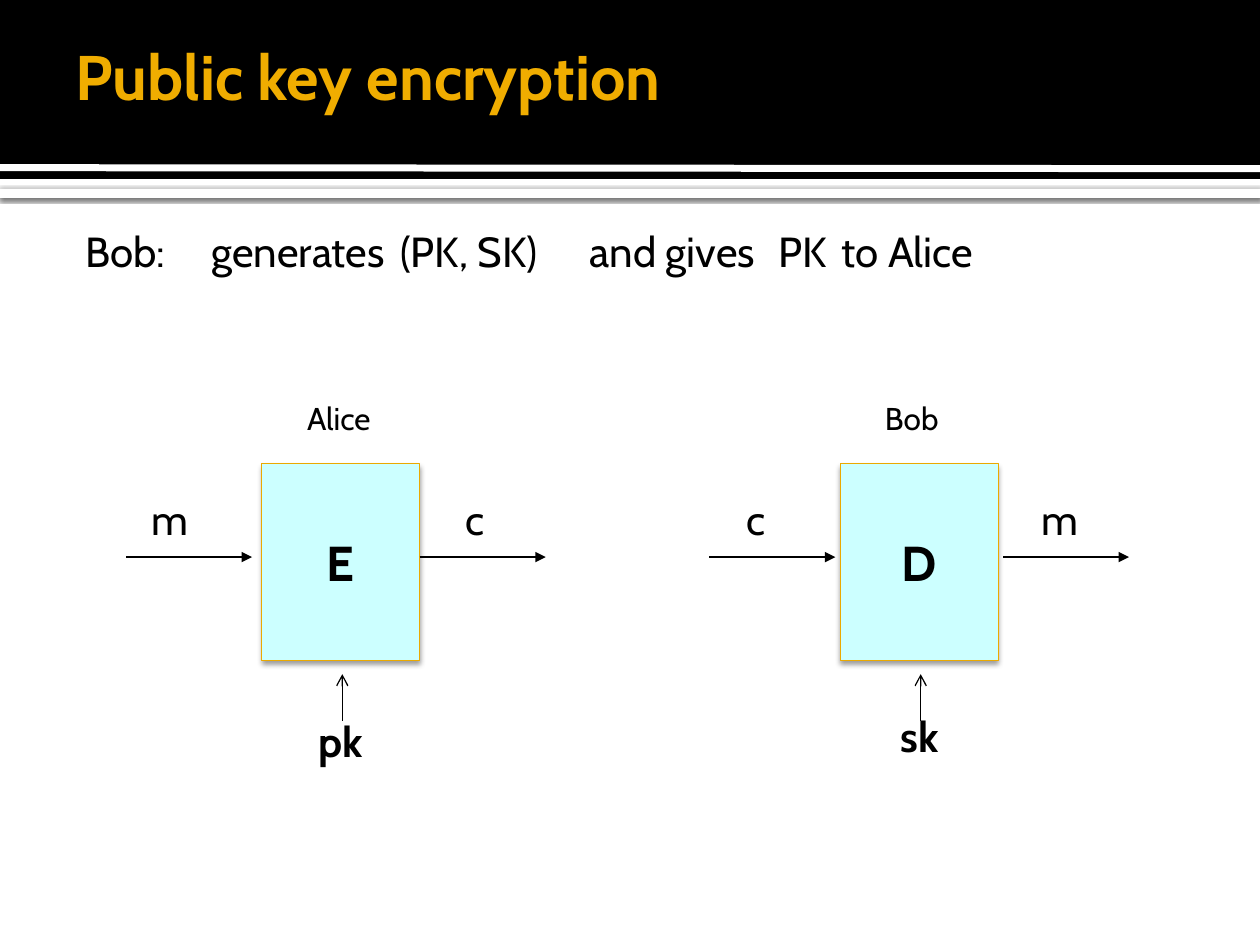
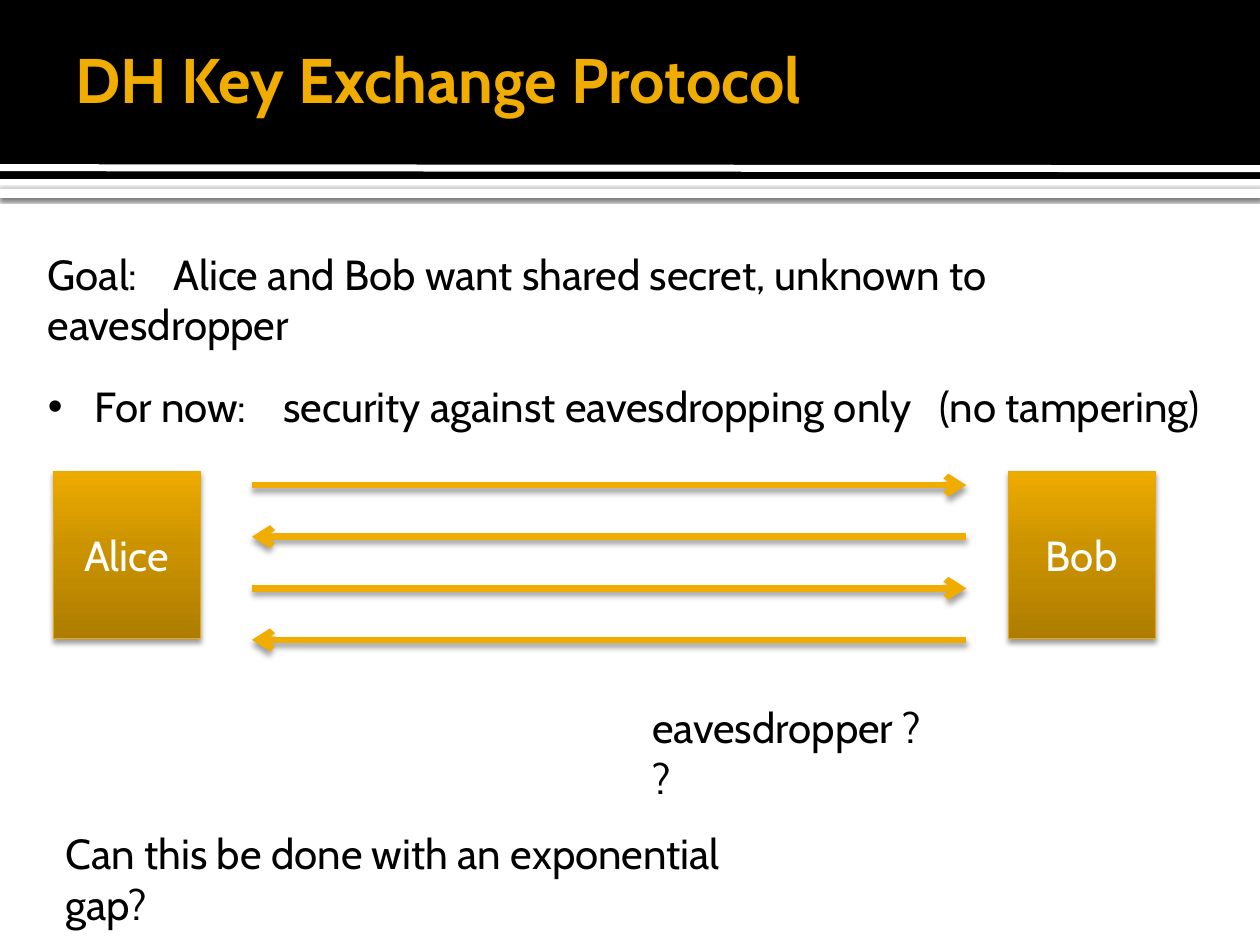
"""Build two slides on public key encryption and Diffie-Hellman key exchange."""
from copy import deepcopy

from lxml import etree
from pptx import Presentation
from pptx.dml.color import RGBColor
from pptx.enum.shapes import MSO_CONNECTOR, MSO_SHAPE
from pptx.enum.text import MSO_ANCHOR, MSO_AUTO_SIZE, PP_ALIGN
from pptx.oxml.ns import qn
from pptx.util import Cm, Pt

RECT, STRAIGHT = MSO_SHAPE.RECTANGLE, MSO_CONNECTOR.STRAIGHT
LEFT, CENTER = PP_ALIGN.LEFT, PP_ALIGN.CENTER
TOP, MIDDLE = MSO_ANCHOR.TOP, MSO_ANCHOR.MIDDLE
NO_FIT = MSO_AUTO_SIZE.NONE

FONT = "Cabin"
BLACK = RGBColor(0, 0, 0)
WHITE = RGBColor(255, 255, 255)
GOLD = RGBColor(0xF0, 0xAD, 0x00)
EDGE = RGBColor(0xEB, 0xA9, 0x00)
CYAN = RGBColor(0xCC, 0xFF, 0xFF)
GOLD_STOPS = [
    (0, RGBColor(0xAE, 0x7D, 0x00)),
    (0.55, RGBColor(0xCC, 0x93, 0x00)),
    (1, RGBColor(0xEE, 0xAB, 0x00)),
]
BAND_SHADOW = (60, 2.5, 0.8)
BOX_SHADOW = (38, 3.1, 2)
ARROW_SHADOW = (38, 3.5, 2)

ENCRYPTION = {
    "title": "Public key encryption",
    "title_at": (1.27, -0.08, 22.86, 3.18),
    "body_at": (1.47, 4.42, 22.86, 1.27),
    "body": [
        {
            "text": "Bob:\tgenerates\t(PK, SK)\tand gives\tPK\tto Alice",
            "tabs": (2.36, 6.61, 10.14, 13.87, 15.22),
        },
    ],
}
MACHINES = [
    {
        "letter": "E", "left": 5.28, "arrows": (2.54, 8.46),
        "labels": [
            ("Alice", 6.83, 7.92, 18, False), ("m", 3.43, 9.83, 24, False),
            ("c", 9.58, 9.83, 24, False), ("pk", 6.86, 14.3, 24, True),
        ],
    },
    {
        "letter": "D", "left": 16.94, "arrows": (14.3, 20.22),
        "labels": [
            ("Bob", 18.38, 7.92, 18, False), ("c", 15.24, 9.83, 24, False),
            ("m", 21.36, 9.83, 24, False), ("sk", 18.54, 14.2, 24, True),
        ],
    },
]
MACHINE_SIZE = (3.18, 3.96)

EXCHANGE = {
    "title": "DH Key Exchange Protocol",
    "title_at": (1.27, 0.2, 20.96, 2.74),
    "body_at": (0.71, 4.88, 24.28, 2.95),
    "body": [
        {
            "text": "Goal:\tAlice and Bob want shared secret, unknown to eavesdropper",
            "tabs": (2.56,),
        },
        {
            "text": "For now:\tsecurity against eavesdropping only\t(no tampering)",
            "tabs": (3.78, 4.75, 17.02, 17.98),
            "bullet": True,
        },
    ],
}
PARTIES = [("Bob", 20.32), ("Alice", 1.07)]
MESSAGE_COUNT, MESSAGE_TOP, MESSAGE_STEP = 4, 9.78, 1.04
MESSAGE_ENDS = (5.08, 19.48)
QUESTIONS = [
    ("eavesdropper ??", (12.9, 14.02, 6.25, 1.27)),
    ("Can this be done with an exponential gap?", (1.07, 16.56, 15.34, 1.27)),
]


def lengths(values):
    return [Cm(v) for v in values]


def style(p, size, color=BLACK, bold=False, align=LEFT):
    p.alignment = align
    for r in p.runs:
        r.font.name = FONT
        r.font.size = Pt(size)
        r.font.bold = bold
        r.font.color.rgb = color


def set_shadow(sp, shadow=None):
    effects = etree.SubElement(sp._element.spPr, qn("a:effectLst"))
    if shadow:
        alpha, blur, dist = shadow
        outer = etree.SubElement(
            effects, qn("a:outerShdw"), blurRad=str(Pt(blur)), dist=str(Pt(dist)),
            dir="5400000", algn="ctr", rotWithShape="0")
        color = etree.SubElement(outer, qn("a:srgbClr"), val=str(BLACK))
        etree.SubElement(color, qn("a:alpha"), val=str(alpha * 1000))


def add_rect(s, at, fill, edge=None, shadow=None):
    sp = s.shapes.add_shape(RECT, *lengths(at))
    if isinstance(fill, list):
        sp.fill.gradient()
        stops = sp._element.spPr.find(".//" + qn("a:gsLst"))
        stops.append(deepcopy(stops[-1]))
        for stop, (position, color) in zip(sp.fill.gradient_stops, fill):
            stop.position = position
            stop.color.rgb = color
        sp.fill.gradient_angle = 90
    else:
        sp.fill.solid()
        sp.fill.fore_color.rgb = fill
    if edge:
        sp.line.color.rgb = edge
        sp.line.width = Pt(0.5)
    else:
        sp.line.fill.background()
    set_shadow(sp, shadow)
    return sp


def add_box(s, at, text, fill, size, color, bold=False):
    sp = add_rect(s, at, fill, EDGE, BOX_SHADOW)
    sp.text_frame.text = text
    sp.text_frame.vertical_anchor = MIDDLE
    style(sp.text_frame.paragraphs[0], size, color, bold, CENTER)


def add_line(s, ends, color=BLACK, width=0.75, head=None, shadow=None):
    c = s.shapes.add_connector(STRAIGHT, *lengths(ends))
    c.line.color.rgb = color
    c.line.width = Pt(width)
    if head:
        etree.SubElement(c.line._get_or_add_ln(), qn("a:tailEnd"), type=head)
    set_shadow(c, shadow)
    return c


def add_text(s, at, text, size, bold=False, align=LEFT, wrap=True):
    tf = s.shapes.add_textbox(*lengths(at)).text_frame
    tf.text = text
    tf.word_wrap = wrap
    style(tf.paragraphs[0], size, bold=bold, align=align)


def place(sp, at):
    sp.left, sp.top, sp.width, sp.height = lengths(at)
    sp.text_frame.auto_size = NO_FIT
    sp.text_frame.word_wrap = True
    return sp.text_frame


def add_bands(s):
    bands = [
        add_rect(s, (0, 3.81, 25.4, 0.18), WHITE, shadow=BAND_SHADOW),
        add_rect(s, (0, 0, 25.4, 3.61), BLACK),
        add_line(s, (0, 3.38, 25.4, 3.4), WHITE, 4),
    ]
    for i, band in enumerate(bands):
        s.shapes.element.insert(2 + i, band._element)


def format_list_item(p, item):
    bullet = item.get("bullet", False)
    pPr = p._p.get_or_add_pPr()
    indent = Cm(0.95) if bullet else 0
    pPr.set("marL", str(indent))
    pPr.set("indent", str(-indent))
    if bullet:
        etree.SubElement(pPr, qn("a:buFont"), typeface="Arial")
        etree.SubElement(pPr, qn("a:buChar"), char="•")
    else:
        etree.SubElement(pPr, qn("a:buNone"))
    tabs = etree.SubElement(pPr, qn("a:tabLst"))
    for stop in item["tabs"]:
        etree.SubElement(tabs, qn("a:tab"), pos=str(Cm(stop)), algn="l")
    p.space_before = Pt(18 if bullet else 0)
    style(p, 24)


def add_slide(prs, content):
    s = prs.slides.add_slide(prs.slide_layouts[1])
    add_bands(s)
    tf = place(s.shapes.title, content["title_at"])
    tf.text = content["title"]
    tf.vertical_anchor = MIDDLE
    tf.margin_right = Cm(0.13)
    style(tf.paragraphs[0], 36, GOLD, True)

    tf = place(s.placeholders[1], content["body_at"])
    tf.vertical_anchor = TOP
    for i, item in enumerate(content["body"]):
        p = tf.add_paragraph() if i else tf.paragraphs[0]
        p.text = item["text"]
        format_list_item(p, item)
    return s


def build_encryption(prs):
    s = add_slide(prs, ENCRYPTION)
    width, height = MACHINE_SIZE
    for machine in MACHINES:
        left = machine["left"]
        add_box(s, (left, 9.35, width, height), machine["letter"], CYAN, 28, BLACK, True)
        for x in machine["arrows"]:
            add_line(s, (x, 11.23, x + 2.54, 11.23), head="triangle")
        middle = left + width / 2 + 0.03
        add_line(s, (middle, 14.53, middle, 13.59), head="arrow")
        for text, x, y, size, bold in machine["labels"]:
            add_text(s, (x - 1, y, 2, 1.27), text, size, bold, CENTER, False)


def build_exchange(prs):
    s = add_slide(prs, EXCHANGE)
    for name, left in PARTIES:
        add_box(s, (left, 9.5, 2.97, 3.38), name, GOLD_STOPS, 24, WHITE)
    for i in range(MESSAGE_COUNT):
        start, end = MESSAGE_ENDS if i % 2 == 0 else MESSAGE_ENDS[::-1]
        y = MESSAGE_TOP + i * MESSAGE_STEP
        add_line(s, (start, y, end, y), GOLD, 3.78, "arrow", ARROW_SHADOW)
    for text, at in QUESTIONS:
        add_text(s, at, text, 24)


def main():
    prs = Presentation()
    prs.slide_width, prs.slide_height = Cm(25.4), Cm(19.05)
    build_encryption(prs)
    build_exchange(prs)
    prs.save("out.pptx")


if __name__ == "__main__":
    main()
